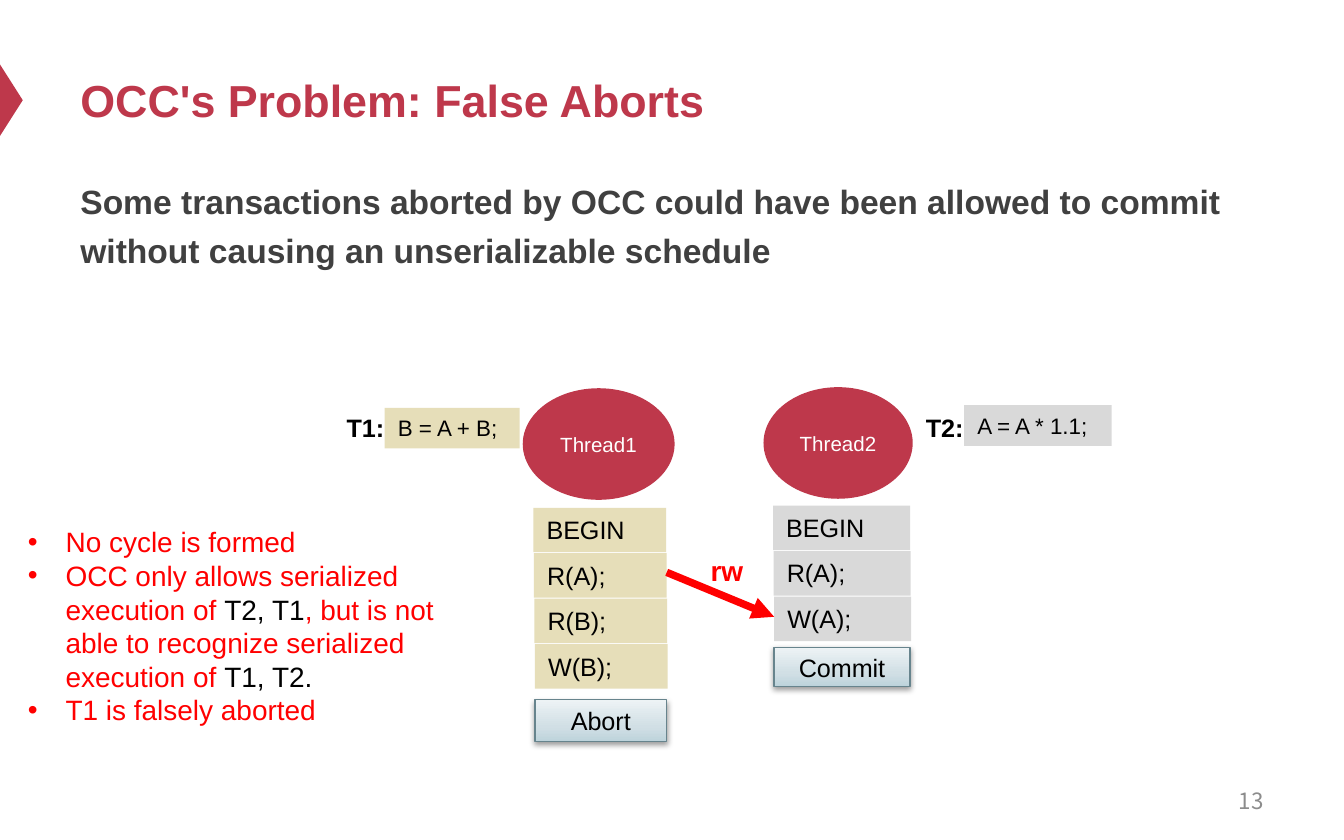
import copy
import pptx
import pptx.util
import pptx.dml.color
import pptx.enum.shapes
import pptx.enum.text
import pptx.oxml.ns
import pptx.oxml.xmlchemy

Cm = pptx.util.Cm
Pt = pptx.util.Pt
Kind = pptx.enum.shapes.MSO_SHAPE
Side = pptx.enum.text.PP_ALIGN
Hold = pptx.enum.text.MSO_ANCHOR
make = pptx.oxml.xmlchemy.OxmlElement
qn = pptx.oxml.ns.qn

HUES = {
    "brand": "BE384B", "body": "404040", "page": "8C8C8C",
    "black": "000000", "white": "FFFFFF", "red": "FF0000",
    "sand": "E6DEB9", "grey": "D9D9D9", "edge": "67848D",
    "low": "BDD3DB", "mid": "D1DFE5", "high": "EDF3F5",
}


def hue(name):
    return pptx.dml.color.RGBColor.from_string(HUES[name])


def node(root, tag, **attrs):
    item = make(tag)
    for key, value in attrs.items():
        item.set(key, str(value))
    root.append(item)
    return item


def add_runs(para, text, size, color, bold, font):
    parts = [(text, color)] if isinstance(text, str) else text
    for words, shade in parts:
        run = para.add_run()
        run.text = words
        run.font.size = Pt(size)
        run.font.bold = bold
        run.font.name = font
        run.font.color.rgb = hue(shade)


def add_bullet(para):
    props = para._p.get_or_add_pPr()
    props.set("marL", str(Cm(0.71)))
    props.set("indent", str(Cm(-0.71)))
    node(props, "a:buFont", typeface="Arial")
    node(props, "a:buChar", char="•")


def write(shape, *texts, size=13.5, color="black", bold=False, font="Arial",
          align=Side.LEFT, anchor=Hold.TOP, bullet=False, space=None, before=None):
    frame = shape.text_frame
    frame.word_wrap = True
    frame.vertical_anchor = anchor
    for i, text in enumerate(texts):
        para = frame.add_paragraph() if i else frame.paragraphs[0]
        para.alignment = align
        if space:
            para.line_spacing = space
        if before:
            para.space_before = Pt(before)
        if bullet:
            add_bullet(para)
        add_runs(para, text, size, color, bold, font)


def add_label(slide, box, *texts, **style):
    write(slide.shapes.add_textbox(*map(Cm, box)), *texts, **style)


def add_block(slide, kind, box, fill):
    shape = slide.shapes.add_shape(kind, *map(Cm, box))
    shape.shadow.inherit = False
    shape.line.fill.background()
    shape.fill.solid()
    shape.fill.fore_color.rgb = hue(fill)
    return shape


def add_button(slide, box, text):
    shape = add_block(slide, Kind.RECTANGLE, box, "mid")
    shape.line.color.rgb = hue("edge")
    shape.line.width = Pt(0.75)
    shape.fill.gradient()
    shape.fill.gradient_angle = 90
    props = shape._element.spPr
    stops = props.find(".//" + qn("a:gsLst"))
    stops.insert(1, copy.deepcopy(stops[0]))
    shades = (0, "low"), (0.35, "mid"), (1, "high")
    for stop, (place, shade) in zip(shape.fill.gradient_stops, shades):
        stop.position = place
        stop.color.rgb = hue(shade)
    glow = node(props.find(qn("a:effectLst")), "a:outerShdw", blurRad=Pt(3.1),
                dist=Pt(1.6), dir=5400000, rotWithShape=0)
    tint = node(glow, "a:srgbClr", val=HUES["black"])
    node(tint, "a:alpha", val=38000)
    write(shape, text, align=Side.CENTER, anchor=Hold.MIDDLE)


def add_thread(slide, name, oval, left, top, width, fill, steps):
    shape = add_block(slide, Kind.OVAL, oval, "brand")
    write(shape, name, size=11, color="white", align=Side.CENTER, anchor=Hold.MIDDLE)
    for i, step in enumerate(steps):
        box = left + 0.01 * i, top + 0.86 * i, width, 0.84
        write(add_block(slide, Kind.RECTANGLE, box, fill), step)


def add_task(slide, name, code, left, box, fill):
    write(add_block(slide, Kind.RECTANGLE, box, fill), code, size=12)
    add_label(slide, (left, 7.67, 1.32, 0.84), name, bold=True)


def add_arrow(slide, start, end):
    line = slide.shapes.add_connector(
        pptx.enum.shapes.MSO_CONNECTOR.STRAIGHT, *map(Cm, start + end))
    line.line.color.rgb = hue("red")
    line.line.width = Pt(4)
    node(line.line._get_or_add_ln(), "a:tailEnd", type="triangle")
    node(line._element.spPr, "a:effectLst")


def main():
    deck = pptx.Presentation()
    deck.slide_width, deck.slide_height = Cm(25.4), Cm(15.88)
    slide = deck.slides.add_slide(deck.slide_layouts[6])

    mark = add_block(slide, Kind.ISOSCELES_TRIANGLE, (-0.46, 1.68, 1.35, 0.43), "brand")
    mark.rotation = 90
    add_label(slide, (1.27, 0.64, 22.86, 2.49), "OCC's Problem: False Aborts",
              size=24, color="brand", bold=True, anchor=Hold.MIDDLE)
    add_label(slide, (1.27, 3.15, 22.86, 10.46),
              "Some transactions aborted by OCC could have been allowed to commit "
              "without causing an unserializable schedule",
              size=18, color="body", bold=True, space=1.2, before=12)
    add_label(slide, (18.21, 14.71, 5.92, 0.84), "13", size=12, color="page",
              font="Noto Sans CJK SC", align=Side.RIGHT, anchor=Hold.MIDDLE)

    add_task(slide, "T1:", "B = A + B;", 6.3, (7.27, 7.71, 2.55, 0.77), "sand")
    add_task(slide, "T2:", "A = A * 1.1;", 17.25, (18.22, 7.66, 2.79, 0.77), "grey")
    add_thread(slide, "Thread1", (9.88, 7.34, 2.87, 2.11), 10.08, 9.6, 2.51,
               "sand", ("BEGIN", "R(A);", "R(B);", "W(B);"))
    add_thread(slide, "Thread2", (14.43, 7.32, 2.82, 2.11), 14.61, 9.56, 2.59,
               "grey", ("BEGIN", "R(A);", "W(A);"))
    add_button(slide, (10.11, 13.23, 2.49, 0.79), "Abort")
    add_button(slide, (14.63, 12.24, 2.57, 0.74), "Commit")

    add_arrow(slide, (12.6, 10.82), (14.63, 11.66))
    add_label(slide, (0.28, 9.8, 8.41, 4.11),
              "No cycle is formed",
              [("OCC only allows serialized execution of ", "red"),
               ("T2, T1", "black"),
               (", but is not able to recognize serialized execution of ", "red"),
               ("T1, T2.", "black")],
              "T1 is falsely aborted",
              size=15, color="red", bullet=True)
    add_label(slide, (13.18, 10.34, 1.42, 0.89), "rw", size=15, color="red", bold=True)
    deck.save("out.pptx")


if __name__ == "__main__":
    main()
